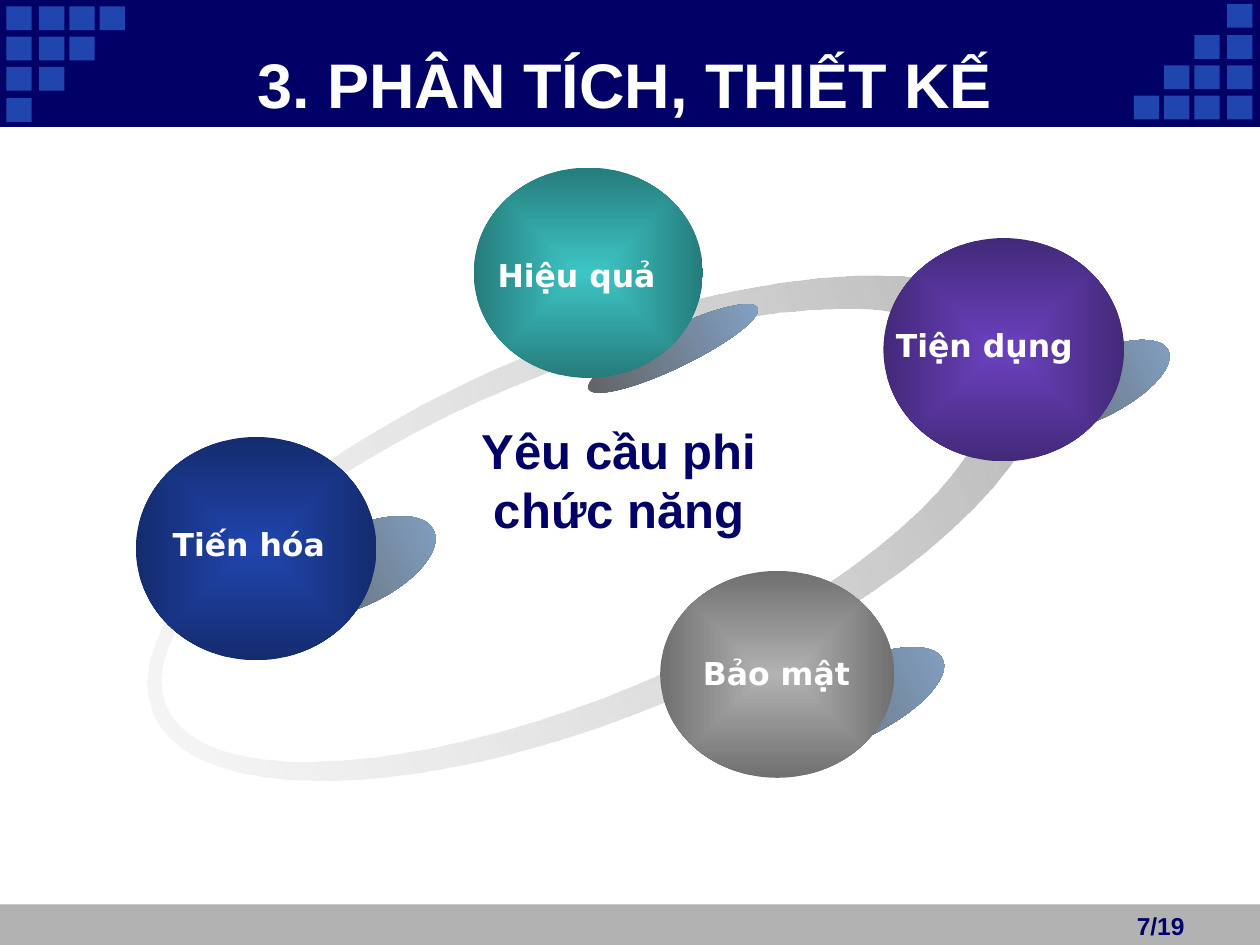
import math
from dataclasses import dataclass
from lxml import etree
from pptx import Presentation
from pptx import util as u
from pptx.dml.color import RGBColor
from pptx.enum import shapes, text
from pptx.oxml import ns


@dataclass(frozen=True)
class Theme:
    navy: str = "000066"
    square: str = "2045AE"
    grey: str = "B2B2B2"
    white: str = "FFFFFF"
    ring_light: str = "EBEBEB"
    shadow_dark: str = "5F5F5F"
    shadow_light: str = "84A5CA"
    teal: str = "3DC5C5"
    purple: str = "6B41BF"
    heading: str = "Arial"
    label: str = "DejaVu Sans"
    title_size: int = 36
    centre_size: int = 28
    label_size: int = 18
    page_size: int = 14


theme = Theme()


def paint(shape, *colours):
    shape.shadow.inherit = False
    shape.line.fill.background()
    if len(colours) == 1:
        shape.fill.solid()
        shape.fill.fore_color.rgb = RGBColor.from_string(colours[0])
    else:
        shape.fill.gradient()
        shape.fill.gradient_angle = 0
        for stop, colour in zip(shape.fill.gradient_stops, colours):
            stop.color.rgb = RGBColor.from_string(colour)


def write(box, words, font, size, colour, align, wrap=True):
    frame = box.text_frame
    frame.word_wrap = wrap
    paragraph = frame.paragraphs[0]
    paragraph.alignment = align
    run = paragraph.add_run()
    run.text = words
    run.font.name = font
    run.font.size = u.Pt(size)
    run.font.bold = True
    run.font.color.rgb = RGBColor.from_string(colour)
    return frame


prs = Presentation()
prs.slide_width, prs.slide_height = u.Cm(25.4), u.Cm(19.05)
slide = prs.slides.add_slide(prs.slide_layouts[5])
parts = slide.shapes
oval, rect = shapes.MSO_SHAPE.OVAL, shapes.MSO_SHAPE.RECTANGLE

footer = parts.add_shape(rect, 0, u.Cm(18.23), u.Cm(25.4), u.Cm(0.82))
paint(footer, theme.grey)
header = parts.add_shape(rect, 0, 0, u.Cm(25.4), u.Cm(2.54))
paint(header, theme.navy)
header.line.color.rgb = RGBColor.from_string(theme.navy)
header.line.width = u.Pt(0.75)

columns = (0.13, 0.79, 1.4, 2.01)
rows = (0.13, 0.74, 1.35, 1.98)
for row, y in enumerate(rows):
    for x in columns[:4 - row]:
        for left, top in ((x, y), (24.87 - x, 2.06 - y)):
            square = parts.add_shape(rect, u.Cm(left), u.Cm(top), u.Cm(0.51), u.Cm(0.48))
            paint(square, theme.square)

title = parts.title
title.element.getparent().append(title.element)
title.left, title.top, title.width, title.height = u.Cm(2.34), u.Cm(0.89), u.Cm(20.52), u.Cm(1.57)
heading = write(title, "3. PHÂN TÍCH, THIẾT KẾ", theme.heading, theme.title_size,
                theme.white, text.PP_ALIGN.CENTER)
heading.vertical_anchor = text.MSO_ANCHOR.MIDDLE
heading.auto_size = text.MSO_AUTO_SIZE.NONE

steps = 76
outlines = []
for cx, cy, a, b, turn in ((12.04, 10.64, 9.7, 3.76, 1), (11.58, 10.6, 8.94, 3.25, -1)):
    angles = [turn * 2 * math.pi * i / steps for i in range(steps)]
    outlines.append([(u.Cm(cx + a * math.cos(t)), u.Cm(cy + b * math.sin(t))) for t in angles])
outer, inner = outlines
builder = parts.build_freeform(*outer[0])
builder.add_line_segments(outer[1:], close=True)
builder.move_to(*inner[0])
builder.add_line_segments(inner[1:], close=True)
ring = builder.convert_to_shape()
ring.rotation = 337.4
paint(ring, theme.ring_light, theme.grey)
light = ring.element.find(".//" + ns.qn("a:srgbClr"))
etree.SubElement(light, ns.qn("a:alpha"), val="36000")

for left, top, width, height in ((11.68, 6.63, 3.78, 0.79), (20.32, 7.14, 3.4, 1.32),
                                 (15.21, 13.39, 3.99, 1.52), (5.51, 10.64, 3.4, 1.57)):
    shade = parts.add_shape(oval, u.Cm(left), u.Cm(top), u.Cm(width), u.Cm(height))
    shade.rotation = 334.3
    paint(shade, theme.shadow_dark, theme.shadow_light)

requirements = (
    ("Hiệu quả", theme.teal, (9.55, 3.38, 4.62, 4.24), (9.78, 5.03, 4.24)),
    ("Tiến hóa", theme.square, (2.74, 8.81, 4.85, 4.5), (3.23, 10.46, 4.11)),
    ("Bảo mật", theme.grey, (13.31, 11.51, 4.72, 4.17), (13.92, 13.06, 4.01)),
    ("Tiện dụng", theme.purple, (17.81, 4.8, 4.85, 4.5), (17.81, 6.45, 4.7)),
)
for words, colour, place, label_place in requirements:
    sphere = parts.add_shape(oval, *map(u.Cm, place))
    paint(sphere, colour, colour)
    gradient = sphere.element.find(".//" + ns.qn("a:gradFill"))
    rim = gradient.findall(".//" + ns.qn("a:srgbClr"))[1]
    etree.SubElement(rim, ns.qn("a:shade"), val="35000")
    linear = gradient.find(ns.qn("a:lin"))
    radial = etree.Element(ns.qn("a:path"), path="shape")
    etree.SubElement(radial, ns.qn("a:fillToRect"), l="50000", t="50000", r="50000", b="50000")
    gradient.replace(linear, radial)

for words, colour, place, label_place in requirements:
    label = parts.add_textbox(*map(u.Cm, label_place), u.Cm(1.14))
    frame = write(label, words, theme.label, theme.label_size, theme.white,
                  text.PP_ALIGN.LEFT, wrap=False)
    frame.auto_size = text.MSO_AUTO_SIZE.SHAPE_TO_FIT_TEXT

centre = parts.add_textbox(u.Cm(8.81), u.Cm(8.36), u.Cm(7.34), u.Cm(2.95))
frame = write(centre, "Yêu cầu phi chức năng", theme.heading, theme.centre_size,
              theme.navy, text.PP_ALIGN.CENTER)
frame.auto_size = text.MSO_AUTO_SIZE.SHAPE_TO_FIT_TEXT

page = parts.add_textbox(u.Cm(19.89), u.Cm(18.24), u.Cm(4.24), u.Cm(0.81))
write(page, "7/19", theme.heading, theme.page_size, theme.navy, text.PP_ALIGN.RIGHT)

prs.save("out.pptx")
